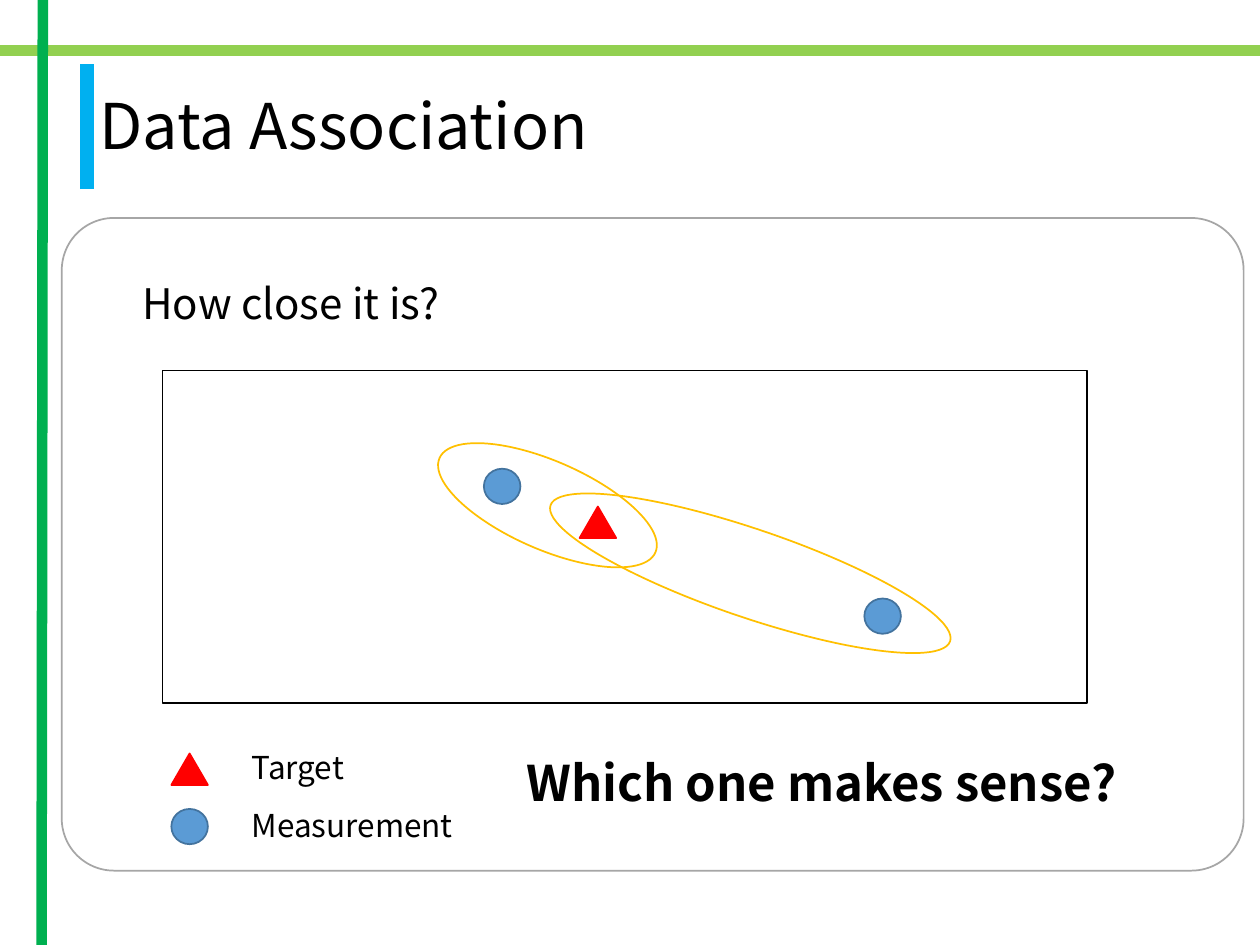
from lxml.etree import SubElement
from pptx import Presentation
from pptx.dml.color import RGBColor
from pptx.enum.shapes import MSO_CONNECTOR, MSO_SHAPE
from pptx.enum.text import MSO_ANCHOR
from pptx.oxml.ns import qn
from pptx.util import Inches, Pt

FONT = "Noto Sans CJK KR"
COLORS = {
    "lime": "92D050", "green": "00B050", "sky": "00B0F0", "gray": "A6A6A6",
    "black": "000000", "blue": "5B9BD5", "navy": "43739E", "red": "FF0000",
    "amber": "FFC000",
}


def color(name):
    """Return the named colour."""
    return RGBColor.from_string(COLORS[name])


def add_line(s, x1, y1, x2, y2, line, width):
    """Add a straight line without a shadow."""
    sp = s.shapes.add_connector(
        MSO_CONNECTOR.STRAIGHT, Inches(x1), Inches(y1), Inches(x2), Inches(y2))
    sp.line.color.rgb = color(line)
    sp.line.width = Pt(width)
    SubElement(sp._element.spPr, qn("a:effectLst"))


def add_shape(s, kind, x, y, w, h, line, fill=None, rotation=0):
    """Add a preset shape with a thin outline."""
    sp = s.shapes.add_shape(kind, Inches(x), Inches(y), Inches(w), Inches(h))
    sp.shadow.inherit = False
    sp.rotation = rotation
    sp.line.color.rgb = color(line)
    sp.line.width = Pt(1)
    if fill:
        sp.fill.solid()
        sp.fill.fore_color.rgb = color(fill)
    else:
        sp.fill.background()
    return sp


def add_text(s, text, x, y, w, h, size, bold=False):
    """Add a wrapped text box with one run and return it."""
    sp = s.shapes.add_textbox(Inches(x), Inches(y), Inches(w), Inches(h))
    tf = sp.text_frame
    tf.word_wrap = True
    r = tf.paragraphs[0].add_run()
    r.text = text
    r.font.name = FONT
    r.font.size = Pt(size)
    r.font.bold = bold
    r.font.color.rgb = color("black")
    return sp


def add_target(s, x, y):
    """Add the red target triangle."""
    add_shape(s, MSO_SHAPE.ISOSCELES_TRIANGLE, x, y, 0.29, 0.25, "red", "red")


def add_measurement(s, x, y):
    """Add a blue measurement dot."""
    add_shape(s, MSO_SHAPE.OVAL, x, y, 0.29, 0.28, "navy", "blue")


def add_frame(s, w, h):
    """Add the crossing rules and the rounded content panel."""
    add_line(s, 0, 0.4, w, 0.4, "lime", 6)
    add_line(s, 0.34, 0, 0.33, h, "green", 6)
    panel = add_shape(
        s, MSO_SHAPE.ROUNDED_RECTANGLE, 0.49, 1.73, w - 0.62, h - 2.32, "gray")
    panel.adjustments[0] = 0.08


def add_title(s, x, y, w, h):
    """Add the title and its accent bar."""
    add_line(s, x, y + 1.02, x, y + 0.03, "sky", 8)
    tf = add_text(s, "Data Association", x, y, w, h, 36).text_frame
    tf.vertical_anchor = MSO_ANCHOR.MIDDLE
    tf.paragraphs[0].line_spacing = 0.9


def add_diagram(s, x, y, w, h):
    """Add the boxed scene with a target, measurements and gates."""
    add_measurement(s, x + 2.55, y + 0.78)
    add_target(s, x + 3.31, y + 1.08)
    add_shape(s, MSO_SHAPE.RECTANGLE, x, y, w, h, "black")
    add_measurement(s, x + 5.57, y + 1.81)
    for dx, dy, length, angle in ((2.12, 0.72, 1.87, 23.6), (2.99, 1.26, 3.35, 18.8)):
        add_shape(s, MSO_SHAPE.OVAL, x + dx, y + dy, length, 0.7, "amber",
                  rotation=angle)


def add_legend(s, x, y, w):
    """Add the key to the diagram symbols."""
    rows = (("Target", add_target, 0.09), ("Measurement", add_measurement, 0.07))
    for i, (label, add_marker, dy) in enumerate(rows):
        top = y + 0.46 * i
        add_marker(s, x, top + dy)
        add_text(s, label, x + 0.54, top, w - 0.54, 0.4, 18)


def main():
    """Build and save the slide."""
    prs = Presentation()
    prs.slide_width, prs.slide_height = Inches(10), Inches(7.5)
    s = prs.slides.add_slide(prs.slide_layouts[6])
    add_frame(s, 10, 7.5)
    add_title(s, 0.69, 0.48, 8.62, 1.09)
    add_text(s, "How close it is?", 1.03, 2.15, 2.79, 0.5, 24)
    add_diagram(s, 1.29, 2.94, 7.34, 2.64)
    add_legend(s, 1.36, 5.89, 2.48)
    add_text(s, "Which one makes sense?", 4.08, 5.92, 5, 0.57, 28, bold=True)
    prs.save("out.pptx")


if __name__ == "__main__":
    main()
